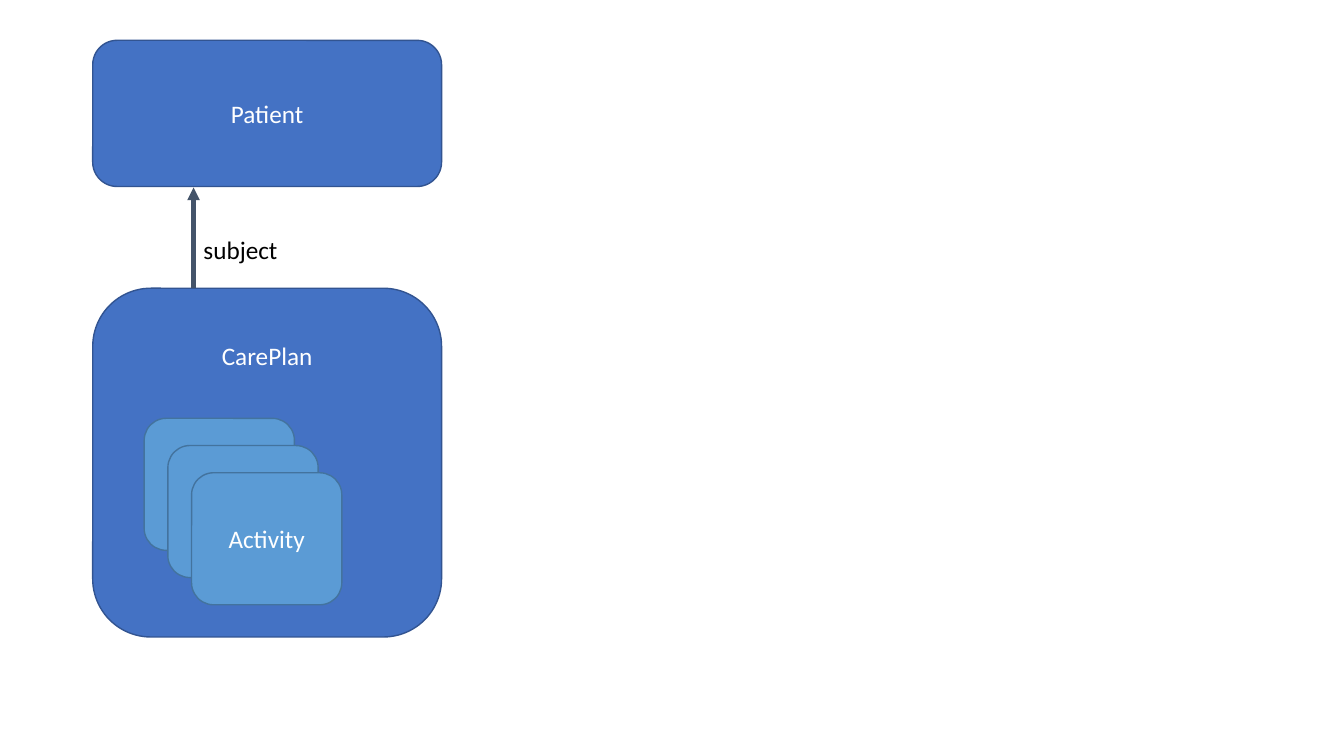
from lxml import etree
from pptx import Presentation
from pptx.dml.color import RGBColor
from pptx.enum import shapes, text
from pptx.oxml.ns import qn
from pptx.util import Inches, Pt

BLUE = RGBColor(0x44, 0x72, 0xC4)
BLUE_EDGE = RGBColor(0x32, 0x54, 0x91)
LIGHT = RGBColor(0x5B, 0x9B, 0xD5)
LIGHT_EDGE = RGBColor(0x43, 0x73, 0x9E)
SLATE = RGBColor(0x44, 0x54, 0x6A)
WHITE = RGBColor(0xFF, 0xFF, 0xFF)
BLACK = RGBColor(0, 0, 0)

# Content: the resources and the reference between them
PATIENT = "Patient"
CARE_PLAN = "CarePlan"
ACTIVITIES = ["", "", "Activity"]  # stacked cards, back to front
REFERENCE = "subject"

# Layout in inches
LEFT, WIDTH = 0.92, 3.46
PATIENT_TOP, PATIENT_HEIGHT = 0.4, 1.45
PLAN_TOP = 2.86
CARD_LEFT, CARD_TOP, CARD_WIDTH, CARD_HEIGHT = 1.43, 4.15, 1.49, 1.31
CARD_STEP_X, CARD_STEP_Y = 0.235, 0.27
ARROW_X = 1.92


def write(shape, words, color):
    shape.text_frame.text = words
    for span in shape.text_frame.paragraphs[0].runs:
        span.font.name = "Calibri"
        span.font.size = Pt(18)
        span.font.color.rgb = color


def add_box(parent, left, top, width, height, fill, edge, words):
    box = parent.add_shape(shapes.MSO_SHAPE.ROUNDED_RECTANGLE, Inches(left),
                           Inches(top), Inches(width), Inches(height))
    box.shadow.inherit = False
    box.fill.solid()
    box.fill.fore_color.rgb = fill
    box.line.color.rgb = edge
    box.line.width = Pt(1)
    if words:
        write(box, words, WHITE)
        box.text_frame.vertical_anchor = text.MSO_ANCHOR.MIDDLE
        box.text_frame.paragraphs[0].alignment = text.PP_ALIGN.CENTER
    return box


deck = Presentation()
deck.slide_width, deck.slide_height = Inches(13.33), Inches(7.5)
page = deck.slides.add_slide(deck.slide_layouts[6])

# CarePlan with its stack of activities
group = page.shapes.add_group_shape()
plan = add_box(group.shapes, LEFT, PLAN_TOP, WIDTH, WIDTH,
               BLUE, BLUE_EDGE, CARE_PLAN)
plan.text_frame.vertical_anchor = text.MSO_ANCHOR.TOP
plan.text_frame.margin_top = Inches(0.35)
for index, activity in enumerate(ACTIVITIES):
    add_box(group.shapes, CARD_LEFT + index * CARD_STEP_X,
            CARD_TOP + index * CARD_STEP_Y, CARD_WIDTH, CARD_HEIGHT,
            LIGHT, LIGHT_EDGE, activity)

# Patient
add_box(page.shapes, LEFT, PATIENT_TOP, WIDTH, PATIENT_HEIGHT,
        BLUE, BLUE_EDGE, PATIENT)

# Arrow from CarePlan up to Patient
arrow = page.shapes.add_connector(
    shapes.MSO_CONNECTOR.STRAIGHT, Inches(ARROW_X), Inches(PLAN_TOP),
    Inches(ARROW_X), Inches(PATIENT_TOP + PATIENT_HEIGHT + 0.01))
arrow.line.color.rgb = SLATE
arrow.line.width = Pt(3)
etree.SubElement(arrow.line._get_or_add_ln(), qn("a:tailEnd"), type="triangle")
etree.SubElement(arrow._element.spPr, qn("a:effectLst"))

# Reference label
label = page.shapes.add_textbox(Inches(ARROW_X), Inches(2.28),
                                Inches(0.94), Inches(0.4))
label.text_frame.word_wrap = True
label.text_frame.auto_size = text.MSO_AUTO_SIZE.SHAPE_TO_FIT_TEXT
write(label, REFERENCE, BLACK)

deck.save("out.pptx")
